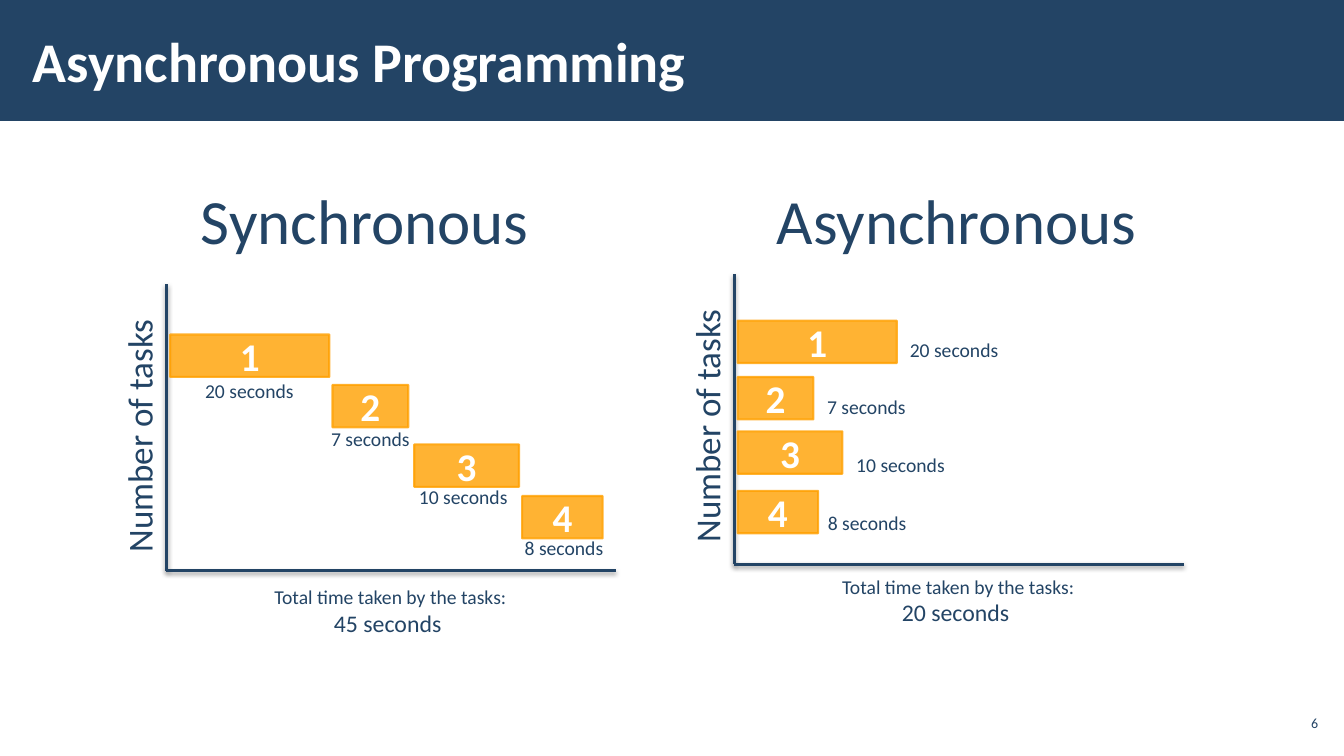
from lxml import etree
from pptx import Presentation
from pptx import util as u
from pptx.dml.color import RGBColor
from pptx.enum import shapes, text
from pptx.oxml.ns import qn

NAVY, ORANGE, WHITE = "234465", "FFA000", "FFFFFF"

prs = Presentation()
prs.slide_width, prs.slide_height = u.Cm(33.87), u.Cm(19.05)
slide = prs.slides.add_slide(prs.slide_layouts[6])


def paint(color_format, color, alpha=None):
    """Set a solid fill to a hex colour, with an optional opacity in percent."""
    color_format.solid()
    color_format.fore_color.rgb = RGBColor.from_string(color)
    if alpha:
        srgb = color_format._xPr.find(qn("a:solidFill"))[0]
        etree.SubElement(srgb, qn("a:alpha"), val=str(alpha * 1000))


def write(shape, lines, sizes, color=NAVY, bold=False, align=text.PP_ALIGN.CENTER):
    """Fill a shape with one paragraph per line, each in its own size."""
    frame = shape.text_frame
    frame.word_wrap = True
    frame.text = "\n".join(lines)
    for paragraph, size in zip(frame.paragraphs, sizes):
        paragraph.alignment = align
        font = paragraph.runs[0].font
        font.name, font.size, font.bold = "Calibri", u.Pt(size), bold
        font.color.rgb = RGBColor.from_string(color)
    return frame


# Header and slide number
header = slide.shapes.add_shape(shapes.MSO_SHAPE.RECTANGLE, 0, 0, prs.slide_width, u.Cm(3.05))
header.shadow.inherit = False
paint(header.fill, NAVY)
header.line.fill.background()

title = slide.shapes.add_textbox(u.Cm(0.53), u.Cm(0.28), u.Cm(26.39), u.Cm(2.46))
title_frame = write(title, ["Asynchronous Programming"], [40], WHITE, True, text.PP_ALIGN.LEFT)
title_frame.vertical_anchor = text.MSO_ANCHOR.MIDDLE
title_frame.margin_left = title_frame.margin_right = u.Cm(0.3)
title_frame.margin_top = title_frame.margin_bottom = u.Cm(0.1)

page = slide.shapes.add_textbox(u.Cm(32.13), u.Cm(17.78), u.Cm(1.19), u.Cm(0.86))
page_frame = write(page, ["6"], [10], align=text.PP_ALIGN.RIGHT)
page_frame.vertical_anchor = text.MSO_ANCHOR.MIDDLE
page_frame.margin_left = page_frame.margin_right = u.Cm(0.1)

# Each task: duration and bar width
tasks = [("20 seconds", 4.01), ("7 seconds", 1.91), ("10 seconds", 2.64), ("8 seconds", 2.03)]

# Each chart: heading and its left, axis left, top and bottom, total and its top,
# then bar (left, top) and duration (left, top) for every task
charts = [
    ("Synchronous", 3.58, 4.19, 7.16, 14.38, "45 seconds", 14.61,
     [(4.29, 8.43), (8.38, 9.7), (10.44, 11.2), (13.16, 12.5)],
     [(4.8, 9.42), (7.85, 10.64), (10.19, 12.09), (12.73, 13.39)]),
    ("Asynchronous", 18.49, 18.5, 6.91, 14.22, "20 seconds", 14.35,
     [(18.59, 8.08), (18.59, 9.5), (18.59, 10.87), (18.59, 12.37)],
     [(22.56, 8.38), (20.35, 9.83), (21.21, 11.3), (20.37, 12.75)]),
]

for heading, heading_left, axis_x, top, bottom, total, total_top, bars, durations in charts:
    for end_x, end_y in [(axis_x, top), (axis_x + 11.33, bottom)]:
        axis = slide.shapes.add_connector(shapes.MSO_CONNECTOR.STRAIGHT, u.Cm(end_x), u.Cm(end_y),
                                          u.Cm(axis_x), u.Cm(bottom))
        paint(axis.line.fill, NAVY)
        axis.line.width = u.Pt(2)
        effects = etree.SubElement(axis._element.spPr, qn("a:effectLst"))
        shadow = etree.SubElement(effects, qn("a:outerShdw"), blurRad="40000", dist="20000",
                                  dir="5400000", rotWithShape="0")
        black = etree.SubElement(shadow, qn("a:srgbClr"), val="000000")
        etree.SubElement(black, qn("a:alpha"), val="38000")

    heading_box = slide.shapes.add_textbox(u.Cm(heading_left), u.Cm(4.45), u.Cm(11.23), u.Cm(2.18))
    write(heading_box, [heading], [45])

    # Long enough to hold the label on one line
    axis_label = slide.shapes.add_textbox(u.Cm(axis_x - 1.35), u.Cm(top + 0.29), u.Cm(1.57), u.Cm(7.07))
    axis_label_frame = write(axis_label, ["Number of tasks"], [25])
    axis_label_frame._txBody.bodyPr.set("vert", "vert270")

    total_box = slide.shapes.add_textbox(u.Cm(axis_x + 2.08), u.Cm(total_top), u.Cm(7.14), u.Cm(1.57))
    write(total_box, ["Total time taken by the tasks:", total + " "], [14, 17])

    rows = zip(tasks, bars, durations)
    for number, ((seconds, width), (bar_x, bar_y), (label_x, label_y)) in enumerate(rows, 1):
        bar = slide.shapes.add_shape(shapes.MSO_SHAPE.RECTANGLE, u.Cm(bar_x), u.Cm(bar_y),
                                     u.Cm(width), u.Cm(1.07))
        bar.shadow.inherit = False
        paint(bar.fill, ORANGE, 80)
        paint(bar.line.fill, ORANGE, 80)
        bar.line.width = u.Pt(1.5)
        write(bar, [str(number)], [28], WHITE, True).vertical_anchor = text.MSO_ANCHOR.MIDDLE

        duration = slide.shapes.add_textbox(u.Cm(label_x), u.Cm(label_y), u.Cm(2.97), u.Cm(0.86))
        write(duration, [seconds], [14])

prs.save("out.pptx")
